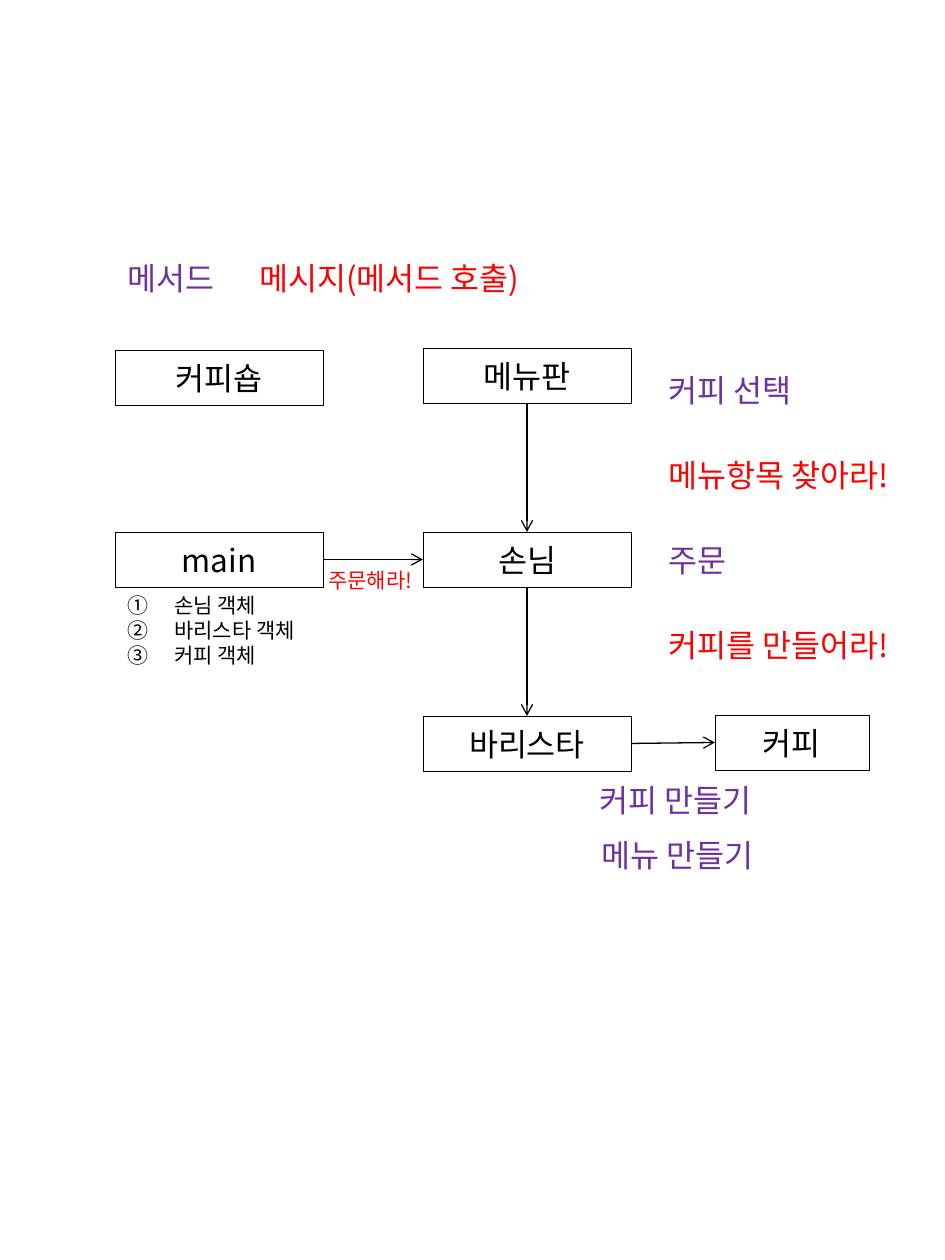
from lxml import etree
from pptx import Presentation
from pptx.dml.color import RGBColor
from pptx.enum import shapes, text
from pptx.oxml.ns import qn
from pptx.util import Pt

PIXEL = 914400 // 126
FONT = "Noto Sans CJK KR"
BLACK, PURPLE, RED = "000000", "7030A0", "FF0000"
TOP, LEFT, BOTTOM, RIGHT = range(4)


def color(value):
    return RGBColor.from_string(value)


def write(shape, content, size, text_color):
    shape.text_frame.word_wrap = True
    shape.text_frame.text = content
    for paragraph in shape.text_frame.paragraphs:
        for run in paragraph.runs:
            run.font.size = Pt(size)
            run.font.name = FONT
            run.font.color.rgb = color(text_color)
            east_asian = etree.SubElement(run.font._element, qn("a:ea"))
            east_asian.set("typeface", FONT)


presentation = Presentation()
presentation.slide_width = 945 * PIXEL
presentation.slide_height = 1260 * PIXEL
slide = presentation.slides.add_slide(presentation.slide_layouts[6])

# Object boxes
boxes = {}
for name, left, top, width in [
    ("커피숍", 115, 350, 208),
    ("main", 115, 532, 208),
    ("메뉴판", 423, 348, 208),
    ("손님", 423, 532, 208),
    ("바리스타", 423, 716, 208),
    ("커피", 715, 715, 154),
]:
    box = slide.shapes.add_shape(
        shapes.MSO_SHAPE.RECTANGLE, left * PIXEL, top * PIXEL, width * PIXEL, 55 * PIXEL)
    box.shadow.inherit = False
    box.fill.background()
    box.line.color.rgb = color(BLACK)
    box.line.width = Pt(0.25)
    write(box, name, 18, BLACK)
    box.text_frame.vertical_anchor = text.MSO_ANCHOR.MIDDLE
    box.text_frame.paragraphs[0].alignment = text.PP_ALIGN.CENTER
    boxes[name] = box

# Arrows between the boxes
for start, start_side, end, end_side in [
    ("main", RIGHT, "손님", LEFT),
    ("바리스타", RIGHT, "커피", LEFT),
    ("메뉴판", BOTTOM, "손님", TOP),
    ("손님", BOTTOM, "바리스타", TOP),
]:
    arrow = slide.shapes.add_connector(shapes.MSO_CONNECTOR.STRAIGHT, 0, 0, 0, 0)
    arrow.begin_connect(boxes[start], start_side)
    arrow.end_connect(boxes[end], end_side)
    arrow.line.color.rgb = color(BLACK)
    arrow.line.width = Pt(0.75)
    etree.SubElement(arrow.line._get_or_add_ln(), qn("a:tailEnd")).set("type", "arrow")
    etree.SubElement(arrow._element.spPr, qn("a:effectLst"))

# Legend, methods in purple and messages in red, and the object list
OBJECTS = "손님 객체\n바리스타 객체\n커피 객체"
labels = {}
for content, left, top, width, height, size, text_color in [
    ("메서드", 115, 253, 129, 50, 18, PURPLE),
    ("메시지(메서드 호출)", 247, 253, 315, 50, 18, RED),
    ("커피 선택", 656, 365, 258, 50, 18, PURPLE),
    ("메뉴항목 찾아라!", 656, 450, 258, 50, 18, RED),
    ("주문", 656, 535, 258, 50, 18, PURPLE),
    ("커피를 만들어라!", 656, 620, 258, 50, 18, RED),
    ("커피 만들기", 587, 775, 258, 50, 18, PURPLE),
    ("메뉴 만들기", 589, 830, 258, 50, 18, PURPLE),
    ("주문해라!", 316, 561, 118, 38, 12, RED),
    (OBJECTS, 115, 586, 218, 89, 12, BLACK),
]:
    label = slide.shapes.add_textbox(
        left * PIXEL, top * PIXEL, width * PIXEL, height * PIXEL)
    write(label, content, size, text_color)
    label.text_frame.auto_size = text.MSO_AUTO_SIZE.SHAPE_TO_FIT_TEXT
    labels[content] = label

# Circled numbers of the object list
for paragraph in labels[OBJECTS].text_frame.paragraphs:
    properties = paragraph._p.get_or_add_pPr()
    properties.set("marL", str(47 * PIXEL))
    properties.set("indent", str(-47 * PIXEL))
    numbering = etree.SubElement(properties, qn("a:buAutoNum"))
    numbering.set("type", "circleNumDbPlain")

presentation.save("out.pptx")
